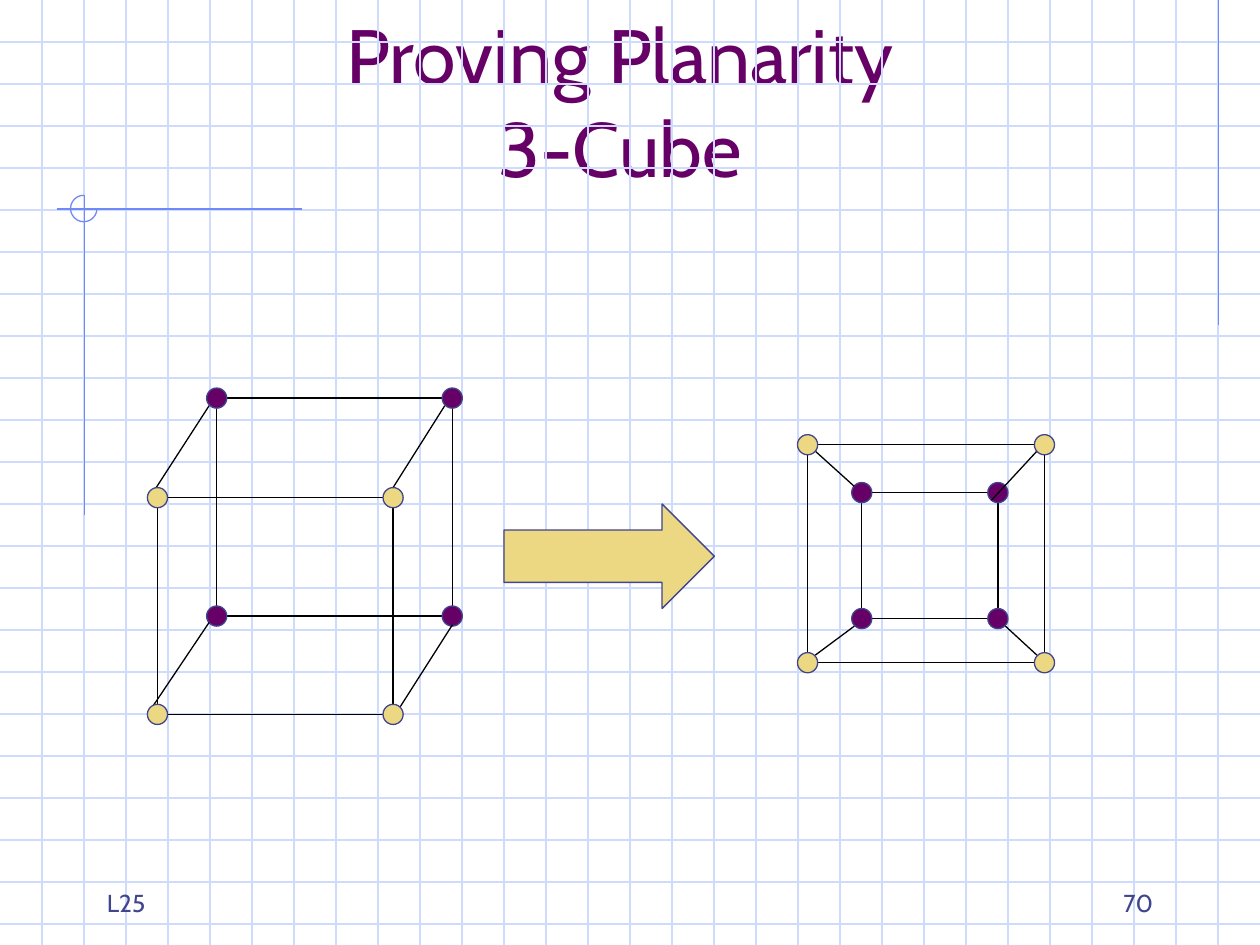
from itertools import product

from lxml import etree
from pptx import Presentation
from pptx.dml.color import RGBColor
from pptx.enum.shapes import MSO_CONNECTOR as Connector, MSO_SHAPE as Shape
from pptx.enum.text import MSO_ANCHOR as Anchor, MSO_AUTO_SIZE as AutoSize, PP_ALIGN as Align
from pptx.oxml.ns import qn
from pptx.util import Inches, Pt

GRID = RGBColor(0xCF, 0xDB, 0xFD)
ACCENT = RGBColor(0x6F, 0x89, 0xF7)
NAVY = RGBColor(0x40, 0x45, 0x8C)
PURPLE = RGBColor(0x66, 0x00, 0x66)
GOLD = RGBColor(0xEC, 0xD8, 0x82)
BLACK = RGBColor(0, 0, 0)
WHITE = RGBColor(0xFF, 0xFF, 0xFF)

WIDTH, HEIGHT = 10, 7.5
NODE = 0.16


def write_text(frame, text, size, color, align=Align.LEFT, font="Cabin"):
    """Fill a bottom-anchored text frame with one formatted paragraph."""
    frame.word_wrap = True
    frame.auto_size = AutoSize.NONE
    frame.vertical_anchor = Anchor.BOTTOM
    paragraph = frame.paragraphs[0]
    paragraph.text = text
    paragraph.alignment = align
    for run in paragraph.runs:
        run.font.name = font
        run.font.size = Pt(size)
        run.font.color.rgb = color


class Canvas:
    """Holds the slide and the line style shared by its elements."""

    line_width = Pt(0.75)

    def __init__(self, slide):
        self.slide = slide
        self.shapes = slide.shapes

    def title(self, text, left, top, width, height):
        title = self.shapes.title
        title.left, title.top = Inches(left), Inches(top)
        title.width, title.height = Inches(width), Inches(height)
        write_text(title.text_frame, text, 44, PURPLE, align=Align.CENTER)

    def label(self, text, left, align):
        box = self.shapes.add_textbox(Inches(left), Inches(6.83), Inches(2.08), Inches(0.5))
        write_text(box.text_frame, text, 14, NAVY, align=align)

    def line(self, start, end, color=BLACK):
        points = [Inches(value) for value in (*start, *end)]
        connector = self.shapes.add_connector(Connector.STRAIGHT, *points)
        connector.line.color.rgb = color
        connector.line.width = self.line_width
        etree.SubElement(connector._element.spPr, qn("a:effectLst"))

    def shape(self, kind, left, top, width, height, fill=None, outline=NAVY):
        shape = self.shapes.add_shape(
            kind, Inches(left), Inches(top), Inches(width), Inches(height))
        shape.shadow.inherit = False
        if fill is None:
            shape.fill.background()
        else:
            shape.fill.solid()
            shape.fill.fore_color.rgb = fill
        shape.line.color.rgb = outline
        shape.line.width = self.line_width
        return shape

    def square_edges(self, left, top, right, bottom):
        """Join four corner nodes, stopping at the rim of each node."""
        gap = NODE / 2
        for y in (top, bottom):
            self.line((left + gap, y), (right - gap, y))
        for x in (left, right):
            self.line((x, top + gap), (x, bottom - gap))

    def square_nodes(self, left, top, right, bottom, fill):
        for x, y in product((left, right), (top, bottom)):
            self.shape(Shape.OVAL, x - NODE / 2, y - NODE / 2, NODE, NODE, fill)

    def cube(self, gold_square, purple_square, spokes):
        for square in (gold_square, purple_square):
            self.square_edges(*square)
        self.square_nodes(*purple_square, PURPLE)
        for start, end in spokes:
            self.line(start, end)
        self.square_nodes(*gold_square, GOLD)


def main():
    presentation = Presentation()
    presentation.slide_width, presentation.slide_height = Inches(WIDTH), Inches(HEIGHT)
    slide = presentation.slides.add_slide(presentation.slide_layouts[5])
    slide.background.fill.solid()
    slide.background.fill.fore_color.rgb = WHITE
    canvas = Canvas(slide)

    # Graph paper: three lines to the inch
    for row in range(1, 23):
        canvas.line((0, row / 3), (WIDTH, row / 3), GRID)
    for column in range(1, 30):
        canvas.line((column / 3, 0), (column / 3, HEIGHT), GRID)

    # Blue drafting lines and three-quarter circle
    canvas.line((9.67, 0), (9.67, 2.58), ACCENT)
    canvas.line((0.45, 1.66), (2.4, 1.66), ACCENT)
    canvas.line((0.67, 1.55), (0.67, 4.09), ACCENT)
    arc = canvas.shape(Shape.ARC, 0.56, 1.55, 0.21, 0.21, outline=ACCENT)
    arc.adjustments[0], arc.adjustments[1] = 0, 162

    # Footer and title
    canvas.label("L25", 0.75, Align.LEFT)
    canvas.label("70", 7.17, Align.RIGHT)
    canvas.title("Proving Planarity\v3-Cube", 0.67, 0.33, 8.5, 1.25)

    # Cube in perspective
    canvas.cube(
        gold_square=(1.25, 3.95, 3.12, 5.67),
        purple_square=(1.72, 3.16, 3.59, 4.89),
        spokes=[((1.66, 3.22), (1.24, 3.87)), ((3.53, 3.22), (3.12, 3.87)),
                ((3.59, 4.96), (3.17, 5.62)), ((1.66, 4.94), (1.17, 5.67))])

    # Planar drawing of the same cube
    canvas.cube(
        gold_square=(6.41, 3.53, 8.29, 5.26),
        purple_square=(6.84, 3.91, 7.92, 4.91),
        spokes=[((6.78, 3.86), (6.47, 3.58)), ((7.87, 3.97), (8.23, 3.58)),
                ((7.98, 4.97), (8.23, 5.2)), ((6.78, 4.97), (6.47, 5.2))])

    # Arrow between the two drawings
    canvas.shape(Shape.RIGHT_ARROW, 4, 4, 1.67, 0.83, GOLD)

    presentation.save("out.pptx")


if __name__ == "__main__":
    main()
